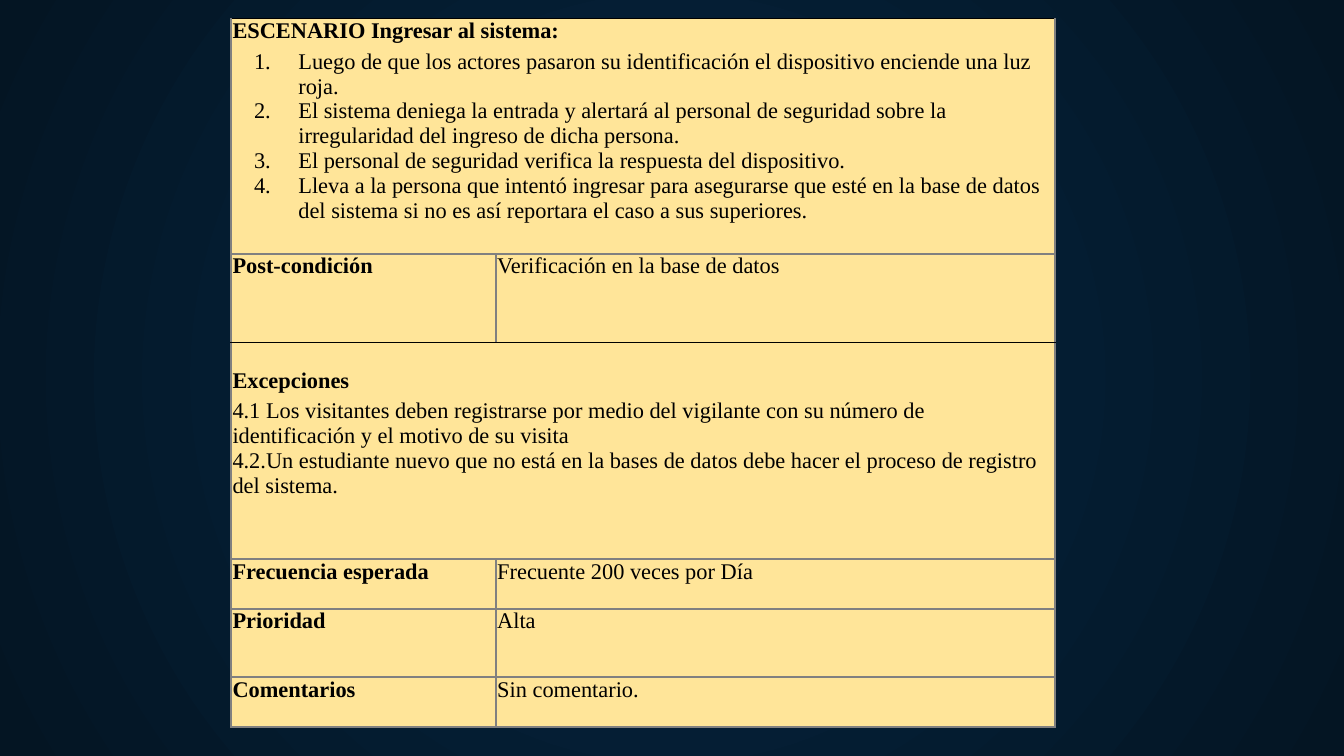
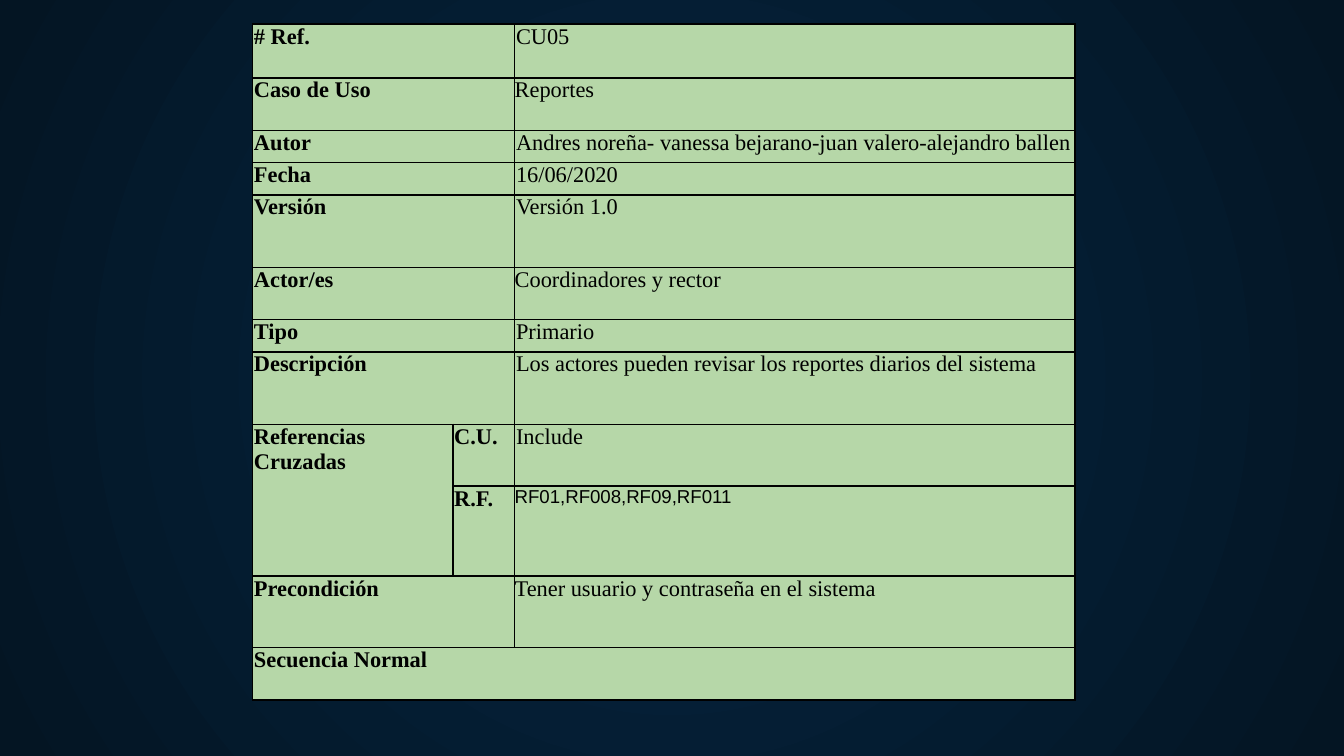
from lxml import etree
from pptx import Presentation
from pptx.dml.color import RGBColor
from pptx.enum.text import PP_ALIGN as Align
from pptx.oxml.ns import qn
from pptx.util import Inches, Pt

COLORS = {
    "glow": "052643", "night": "041523", "ink": "000000",
    "rule": "808080", "sand": "FFE599", "leaf": "B6D7A8",
}
SERIF, SANS = "Times New Roman", "Arial"
WIDTH = 10
HEIGHT = WIDTH * 9 / 16
INSET = 0.01

SCENARIO_STEPS = [
    "Luego de que los actores pasaron su identificación el dispositivo enciende una luz roja.",
    "El sistema deniega la entrada y alertará al personal de seguridad sobre la irregularidad "
    "del ingreso de dicha persona.",
    "El personal de seguridad verifica la respuesta del dispositivo.",
    "Lleva a la persona que intentó ingresar para asegurarse que esté en la base de datos del "
    "sistema si no es así reportara el caso a sus superiores.",
]
EXCEPTIONS = [
    "4.1 Los visitantes deben registrarse por medio del vigilante con su número de "
    "identificación y el motivo de su visita",
    "4.2.Un estudiante nuevo que no está en la bases de datos debe hacer el proceso de "
    "registro del sistema.",
]
SCENARIO_HEIGHTS = [1.75, 0.66, 1.61, 0.37, 0.51, 0.37]
SCENARIO_FIELDS = {
    1: ("Post-condición", "Verificación en la base de datos"),
    3: ("Frecuencia esperada", "Frecuente 200 veces por Día"),
    4: ("Prioridad", "Alta"),
    5: ("Comentarios", "Sin comentario."),
}
USE_CASE_HEIGHTS = [0.4, 0.39, 0.24, 0.24, 0.54, 0.39, 0.24, 0.54, 0.46, 0.67, 0.53, 0.39]
USE_CASE_FIELDS = {
    0: ("# Ref.", "CU05"),
    1: ("Caso de Uso", "Reportes"),
    2: ("Autor", "Andres noreña- vanessa bejarano-juan valero-alejandro ballen"),
    3: ("Fecha", "16/06/2020"),
    4: ("Versión", "Versión 1.0"),
    5: ("Actor/es", "Coordinadores y rector"),
    6: ("Tipo", "Primario"),
    7: ("Descripción", "Los actores pueden revisar los reportes diarios del sistema"),
    8: ("C.U.", "Include"),
    9: ("R.F.", "RF01,RF008,RF09,RF011"),
    10: ("Precondición", "Tener usuario y contraseña en el sistema"),
}
REFERENCE_ROWS = (8, 9)
FLUSH_ROWS = (1, 5, 9, 10)


def rgb(name):
    return RGBColor.from_string(COLORS[name])


def add_page(deck):
    """Add a blank slide with the circular dark blue gradient."""
    page = deck.slides.add_slide(deck.slide_layouts[6])
    fill = page.background.fill
    fill.gradient()
    for stop, name in zip(fill.gradient_stops, ("glow", "night")):
        stop.color.rgb = rgb(name)
    gradient = page.background._cSld.find(".//" + qn("a:gradFill"))
    gradient.remove(gradient.find(qn("a:lin")))
    shade = etree.SubElement(gradient, qn("a:path"), path="circle")
    etree.SubElement(shade, qn("a:fillToRect"), dict.fromkeys("ltrb", "50000"))
    return page


def set_border(cell, **edges):
    """Draw edges given as L, R, T or B = (colour name, points)."""
    props = cell._tc.get_or_add_tcPr()
    for index, side in enumerate("LRTB"):
        color, points = edges[side]
        line = etree.Element(qn("a:ln" + side), w=str(Pt(points)))
        solid = etree.SubElement(line, qn("a:solidFill"))
        etree.SubElement(solid, qn("a:srgbClr"), val=COLORS[color])
        props.insert(index, line)


def add_grid(page, left, top, columns, heights, fill, rule, dark_edges=()):
    """Add a filled, ruled table; dark_edges are row boundaries ruled in ink."""
    table = page.shapes.add_table(
        len(heights), len(columns), Inches(left), Inches(top),
        Inches(sum(columns)), Inches(sum(heights))).table
    table.first_row = table.horz_banding = False
    for column, width in zip(table.columns, columns):
        column.width = Inches(width)
    for number, (row, height) in enumerate(zip(table.rows, heights)):
        row.height = Inches(height)
        above, below = [("ink", 0.75) if edge in dark_edges else (rule, 1)
                        for edge in (number, number + 1)]
        for cell in row.cells:
            cell.fill.solid()
            cell.fill.fore_color.rgb = rgb(fill)
            cell.margin_left = Inches(INSET)
            cell.margin_right = cell.margin_top = cell.margin_bottom = 0
            set_border(cell, L=(rule, 1), R=(rule, 1), T=above, B=below)
            write(cell, "")
    return table


def write(cell, *lines, bold=False, font=SERIF, size=12):
    """Append lines to a cell, using its first paragraph if still empty."""
    frame = cell.text_frame
    paras = []
    for line in lines:
        para = frame.paragraphs[0] if not frame.text else frame.add_paragraph()
        para.text = line
        para.font.name, para.font.size, para.font.bold = font, Pt(size), bold
        para.font.color.rgb = rgb("ink")
        paras.append(para)
    return paras


def number_paragraph(para):
    props = para._p.get_or_add_pPr()
    props.set("marL", str(Inches(0.49)))
    props.set("indent", str(Inches(-0.33)))
    color = etree.Element(qn("a:buClr"))
    etree.SubElement(color, qn("a:srgbClr"), val=COLORS["ink"])
    bullet = etree.Element(qn("a:buAutoNum"), type="arabicPeriod")
    for index, item in enumerate((color, bullet)):
        props.insert(index, item)


def merge_row(table, row, last):
    """Merge a row from its first column to the last one given."""
    cell = table.cell(row, 0)
    cell.merge(table.cell(row, last))
    return cell


def scenario_page(deck):
    table = add_grid(add_page(deck), 1.72, 0.14, [1.97, 4.16], SCENARIO_HEIGHTS,
                     "sand", "rule", dark_edges=(0, 2))
    scenario = merge_row(table, 0, 1)
    write(scenario, "ESCENARIO Ingresar al sistema:", bold=True)
    steps = write(scenario, *SCENARIO_STEPS)
    for step in steps:
        number_paragraph(step)
    steps[0].space_before = Pt(3)

    exceptions = merge_row(table, 2, 1)
    exceptions.margin_top = Inches(0.19)
    exceptions.margin_right = Inches(0.05)
    write(exceptions, "Excepciones", bold=True)
    write(exceptions, *EXCEPTIONS)[0].space_before = Pt(3)

    for row, (label, value) in SCENARIO_FIELDS.items():
        write(table.cell(row, 0), label, bold=True)
        write(table.cell(row, 1), value)


def use_case_page(deck):
    table = add_grid(add_page(deck), 1.88, 0.18, [1.49, 0.46, 4.17], USE_CASE_HEIGHTS,
                     "leaf", "ink")
    first, last = REFERENCE_ROWS
    references = table.cell(first, 0)
    references.merge(table.cell(last, 0))
    write(references, "Referencias", "Cruzadas", bold=True)

    for row, (label, value) in USE_CASE_FIELDS.items():
        label_cell = table.cell(row, 1) if row in REFERENCE_ROWS else merge_row(table, row, 1)
        write(label_cell, label, bold=True)
        value_cell = table.cell(row, 2)
        if row in FLUSH_ROWS:
            value_cell.margin_left = 0
        style = {"font": SANS, "size": 10} if label == "R.F." else {}
        para = write(value_cell, value, **style)[0]
        if label == "Descripción":
            para.alignment = Align.JUSTIFY
    write(merge_row(table, len(USE_CASE_HEIGHTS) - 1, 2), "Secuencia Normal", bold=True)


def main():
    deck = Presentation()
    deck.slide_width, deck.slide_height = Inches(WIDTH), Inches(HEIGHT)
    scenario_page(deck)
    use_case_page(deck)
    deck.save("out.pptx")


if __name__ == "__main__":
    main()
